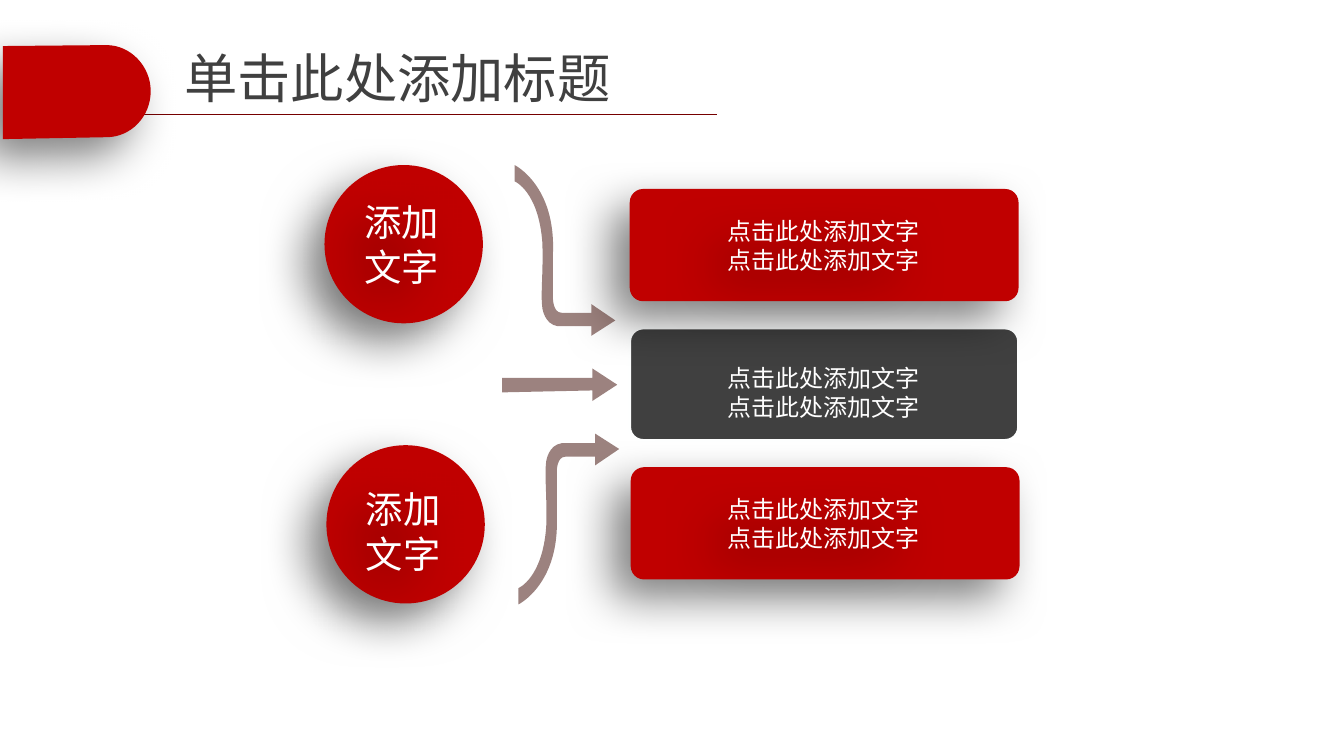
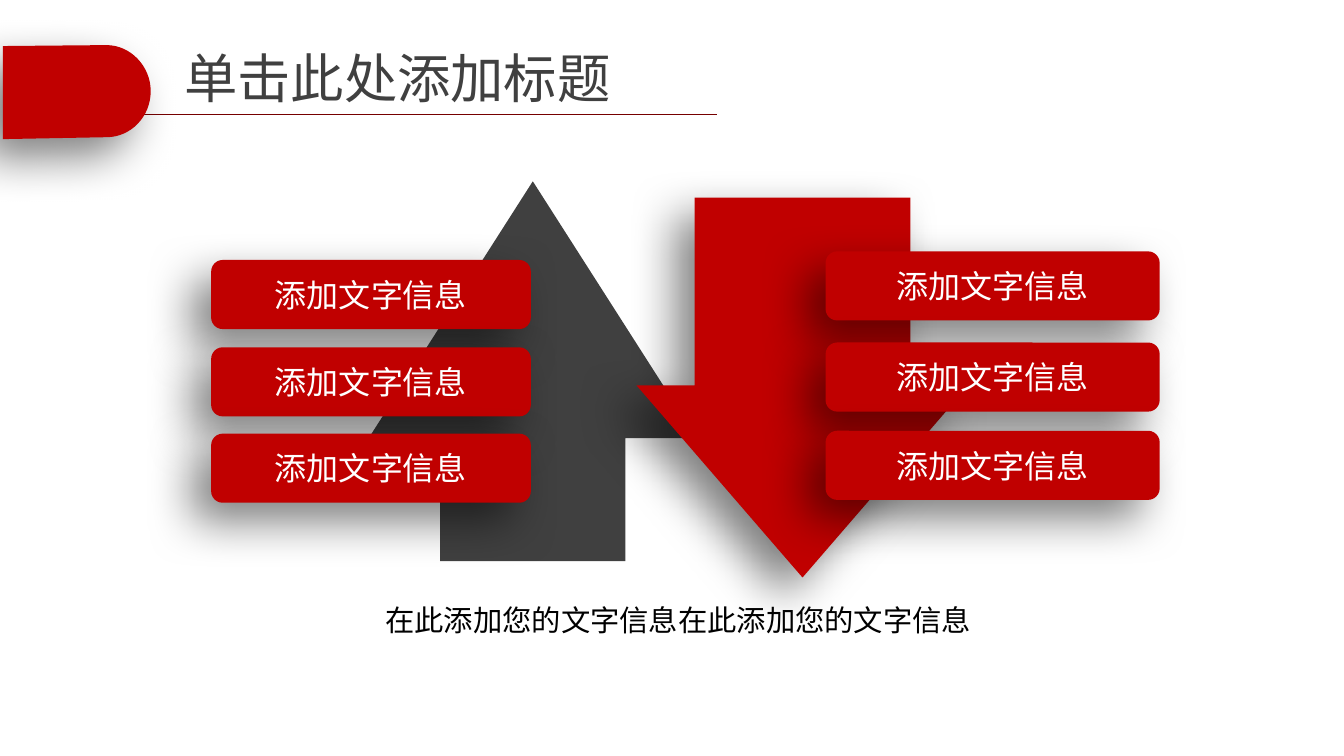
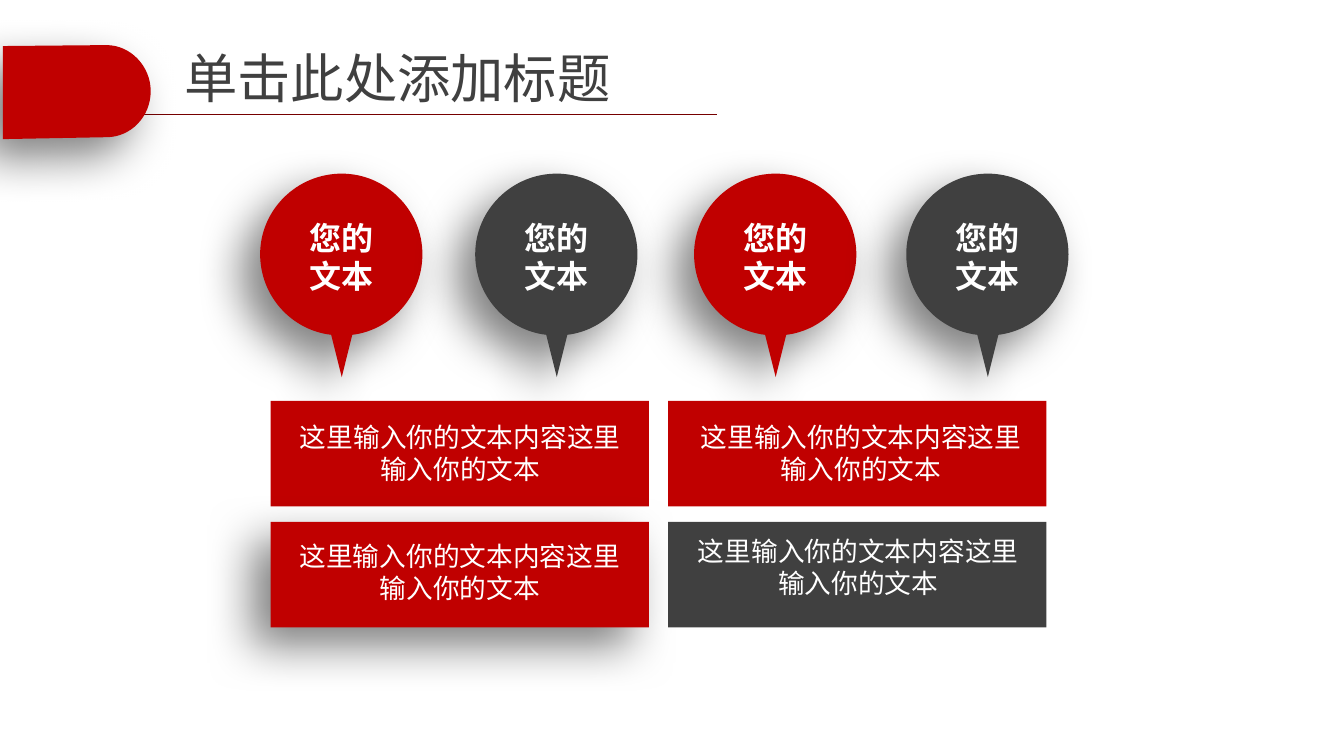
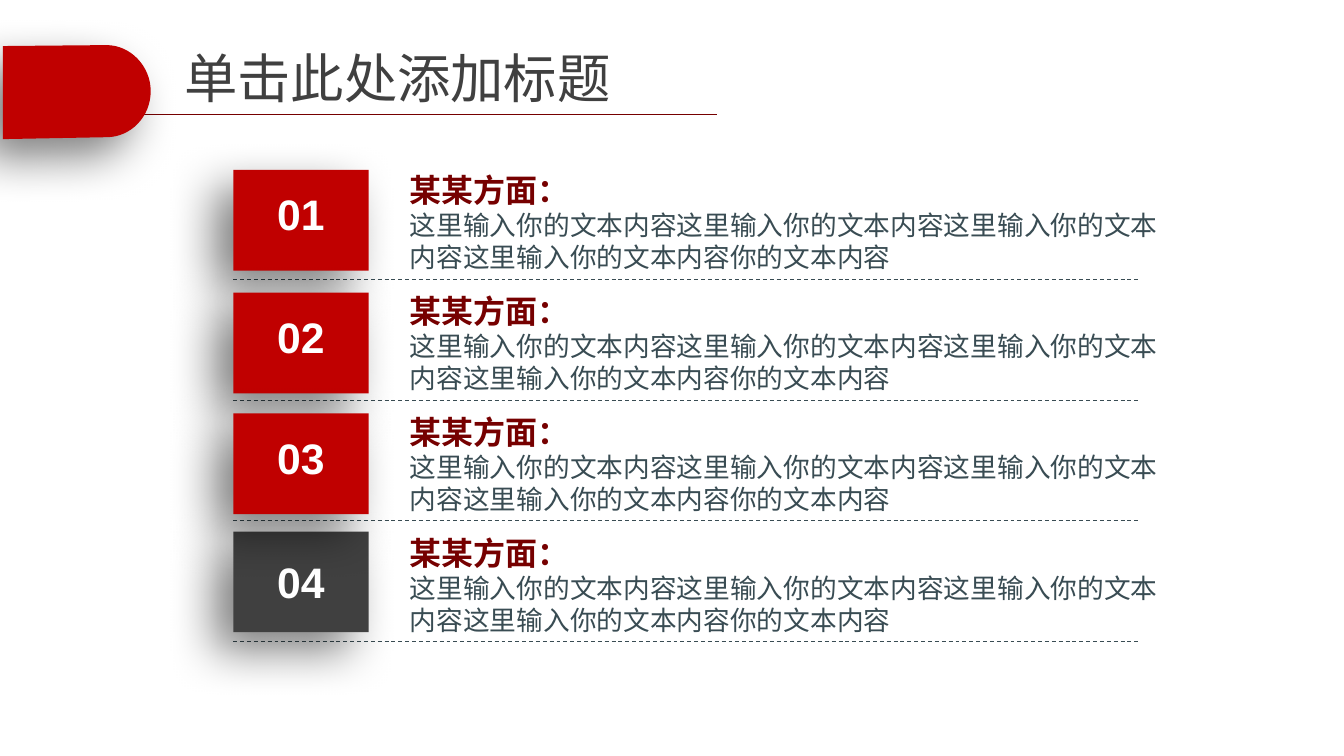
"""Build four red and grey diagram slides that share one title band."""
from dataclasses import dataclass

from lxml.etree import SubElement
from pptx import Presentation
from pptx.dml.color import RGBColor as RGB
from pptx.enum.dml import MSO_LINE as DASH
from pptx.enum.shapes import MSO_CONNECTOR as CXN, MSO_SHAPE as SHAPE
from pptx.enum.text import MSO_ANCHOR as ANCHOR, MSO_AUTO_SIZE as FIT, PP_ALIGN as ALIGN
from pptx.oxml.ns import qn
from pptx.util import Inches, Pt


@dataclass(frozen=True)
class Theme:
    red: str = "C00000"
    dark_red: str = "760000"
    brown: str = "3A0700"
    grey: str = "404040"
    slate: str = "394C53"
    white: str = "FFFFFF"
    black: str = "000000"
    latin: str = "Arial"
    cjk: str = "Noto Sans CJK SC"
    title: int = 40
    number: int = 32
    circle: int = 28
    heading: int = 24
    caption: int = 22
    body: int = 20
    card: int = 18


T = Theme()


def draw(shapes, outline, at, fill=None, shadow=False, adj=(), alpha=None):
    """Add a preset shape, a text box (None), or an outline of points and Bezier curves."""
    if outline is None:
        sp = shapes.add_textbox(*map(Inches, at))
    elif isinstance(outline, list):
        x, y = at
        builder = shapes.build_freeform(Inches(x), Inches(y))
        builder.add_line_segments(
            [(Inches(x + step[i]), Inches(y + step[i + 1]))
             for step in outline for i in range(0, len(step), 2)], close=True)
        sp = builder.convert_to_shape()
        lines = iter(list(sp.element.spPr.iter(qn("a:lnTo"))))
        for step in outline:
            line = next(lines)
            if len(step) == 6:
                curve = line.makeelement(qn("a:cubicBezTo"))
                line.addprevious(curve)
                for control in (line, next(lines), next(lines)):
                    curve.append(control[0])
                    control.getparent().remove(control)
    else:
        sp = shapes.add_shape(outline, *map(Inches, at))
        for i, value in enumerate(adj):
            sp.adjustments[i] = value
    sp.line.fill.background()
    sp.shadow.inherit = False
    if fill:
        sp.fill.solid()
        sp.fill.fore_color.rgb = RGB.from_string(fill)
    else:
        sp.fill.background()
    if alpha:
        color = sp.element.spPr.find(qn("a:solidFill"))[0]
        SubElement(color, qn("a:alpha"), val=str(alpha * 1000))
    if shadow:
        effects = sp.element.spPr.find(qn("a:effectLst"))
        outer = SubElement(effects, qn("a:outerShdw"), blurRad=str(Pt(35)), dist=str(Pt(20)),
                           dir=str(135 * 60000), algn="tr", rotWithShape="0")
        color = SubElement(outer, qn("a:srgbClr"), val=T.black)
        SubElement(color, qn("a:alpha"), val="50000")
    return sp


def write(sp, text, size, color=T.white, font=T.cjk, bold=False, align=ALIGN.CENTER,
          anchor=ANCHOR.MIDDLE, insets=(0.1, 0.05, 0.1, 0.05), append=False):
    """Write one paragraph per line of text, replacing or following what the shape holds."""
    tf = sp.text_frame
    tf.word_wrap, tf.auto_size, tf.vertical_anchor = True, FIT.NONE, anchor
    tf.margin_left, tf.margin_top, tf.margin_right, tf.margin_bottom = map(Inches, insets)
    for i, line in enumerate(text.split("\n")):
        p = tf.add_paragraph() if append or i else tf.paragraphs[0]
        p.alignment = align
        r = p.add_run()
        r.text = line
        r.font.size, r.font.bold, r.font.name = Pt(size), bold, font
        r.font.color.rgb = RGB.from_string(color)
        latin = r.font._element.find(qn("a:latin"))
        latin.addnext(latin.makeelement(qn("a:ea"), typeface=T.cjk))


prs = Presentation()
prs.slide_width, prs.slide_height = Inches(14), Inches(7.88)
layout = prs.slide_layouts[5]
title, *footers = layout.placeholders
title.left, title.top, title.width, title.height = map(Inches, (1.8, 0.31, 9.47, 0.99))
for footer in footers:
    layout.shapes.element.remove(footer.element)

slides = [prs.slides.add_slide(layout) for _ in range(4)]
for s in slides:
    write(s.shapes.title, "单击此处添加标题", T.title, T.grey, T.latin, align=ALIGN.LEFT,
          insets=(0.12, 0.06, 0.12, 0.06))
arrows, compare, pins, agenda = [s.shapes for s in slides]

rule = arrows.add_connector(CXN.STRAIGHT, *map(Inches, (0.92, 1.19, 7.47, 1.19)))
rule.line.color.rgb, rule.line.width = RGB.from_string(T.dark_red), Pt(0.75)
SubElement(rule.element.spPr, qn("a:effectLst"))
tab_outline = [(1.08, -0.01), (1.33, -0.01, 1.54, 0.21, 1.54, 0.47),
               (1.54, 0.74, 1.33, 0.95, 1.08, 0.95), (0, 0.97)]
tab = draw(arrows, tab_outline, (0.03, 0.48), T.red, shadow=True)
for band_part in (rule, tab):
    layout.shapes.element.append(band_part.element)

for x, y, text_y, text_h, fill in [(6.56, 3.42, 3.57, 1.04, T.grey),
                                   (6.56, 1.97, 2.1, 0.91, T.red),
                                   (6.57, 4.87, 5, 0.91, T.red)]:
    lifted = fill == T.red
    group = arrows.add_group_shape().shapes
    card = draw(group, SHAPE.ROUNDED_RECTANGLE, (x, y, 4.05, 1.17), fill, lifted, adj=[0.119])
    if not lifted:
        card.line.color.rgb, card.line.width = RGB.from_string("FEFFFF"), Pt(2)
    label = draw(group, None, (6.7, text_y, 3.75, text_h), shadow=lifted)
    write(label, "点击此处添加文字\n点击此处添加文字", T.card)

for x, y, text_y in [(3.38, 1.72, 2.13), (3.4, 4.64, 5.12)]:
    group = arrows.add_group_shape().shapes
    draw(group, SHAPE.OVAL, (x, y, 1.65, 1.65), T.red, shadow=True)
    label = draw(group, None, (x - 0.24, text_y, 2.08, 0.83), shadow=True)
    write(label, "添加\n文字", T.circle)

bent_arrow = [(0, 0, 0.43, 0.21, 0.4, 0.92), (0.4, 1.16, 0.4, 1.39, 0.4, 1.39),
              (0.4, 1.39, 0.4, 1.54, 0.49, 1.54), (0.64, 1.54, 0.8, 1.54, 0.8, 1.54),
              (0.8, 1.45), (1.05, 1.62), (0.8, 1.78), (0.8, 1.68),
              (0.8, 1.68, 0.62, 1.68, 0.45, 1.68), (0.31, 1.66, 0.29, 1.49, 0.29, 1.49),
              (0.27, 1.34, 0.3, 1.14, 0.29, 0.81), (0.25, 0.27, 0, 0.17, 0, 0.17)]
rising_arrow = [tuple(-c if i % 2 else c for i, c in enumerate(step)) for step in bent_arrow]
straight_arrow = [(0.94, -0.02), (0.94, 0.09), (1.2, -0.08), (0.94, -0.25),
                  (0.94, -0.15), (0, -0.15)]
for outline, start in [(rising_arrow, (5.4, 6.3)), (straight_arrow, (5.23, 4.09)),
                       (bent_arrow, (5.36, 1.72))]:
    draw(arrows, outline, start, T.brown, alpha=50)

draw(compare, SHAPE.UP_ARROW, (3.84, 1.89, 3.42, 3.96), T.grey, adj=[0.564, 0.783])
draw(compare, SHAPE.DOWN_ARROW, (6.63, 2.06, 3.46, 3.96), T.red, shadow=True,
     adj=[0.65, 0.579])
for x, width, tops in [(2.2, 3.33, (2.71, 3.62, 4.52)), (8.6, 3.48, (2.62, 3.57, 4.49))]:
    for y in tops:
        button = draw(compare, SHAPE.ROUNDED_RECTANGLE, (x, y, width, 0.72), T.red, shadow=True)
        write(button, "添加文字信息", T.heading)
caption = draw(compare, SHAPE.ROUNDED_RECTANGLE, (3.39, 6.19, 7.35, 0.54))
write(caption, "在此添加您的文字信息在此添加您的文字信息", T.caption, T.black,
      insets=(0.11, 0.06, 0.11, 0.06))

pin_outline = [(0.46, 0, 0.84, 0.38, 0.84, 0.84), (0.84, 1.27, 0.52, 1.63, 0.11, 1.68),
               (0, 2.12), (-0.11, 1.68), (-0.53, 1.63, -0.85, 1.27, -0.85, 0.84),
               (-0.85, 0.38, -0.47, 0, 0, 0)]
for i, center in enumerate((3.56, 5.8, 8.08, 10.29)):
    pin = draw(pins, pin_outline, (center, 1.81), (T.red, T.grey)[i % 2], shadow=True)
    write(pin, "您的\n文本", T.heading, bold=True, insets=(0.1, 0.05, 0.1, 0.44))

for i, text_box in enumerate([(3.01, 4.32, 3.57, 0.8), (7.14, 4.32, 3.66, 0.8),
                              (3, 5.57, 3.58, 0.78), (7.08, 5.52, 3.72, 0.77)]):
    row, col = divmod(i, 2)
    group = pins.add_group_shape().shapes
    draw(group, SHAPE.RECTANGLE, (2.82 + 4.14 * col, 4.18 + 1.26 * row, 3.94, 1.1),
         T.grey if i == 3 else T.red, shadow=i == 2)
    write(draw(group, None, text_box), "这里输入你的文本内容这里输入你的文本", T.body)

for row in range(4):
    y = 1.73 + 1.26 * row
    entry = draw(agenda, None, (4.17, y, 8.11, 1.18))
    write(entry, "某某方面：", T.heading, T.dark_red, bold=True, align=ALIGN.LEFT,
          anchor=ANCHOR.TOP)
    write(entry, "这里输入你的文本内容" * 4 + "你的文本内容", T.body, T.slate,
          align=ALIGN.LEFT, anchor=ANCHOR.TOP, append=True)
    divider = agenda.add_connector(CXN.STRAIGHT, *map(Inches, (2.43, y + 1.18, 11.88, y + 1.18)))
    divider.line.color.rgb, divider.line.width = RGB.from_string(T.slate), Pt(0.75)
    divider.line.dash_style = DASH.DASH
    SubElement(divider.element.spPr, qn("a:effectLst"))

last = draw(agenda, SHAPE.RECTANGLE, (2.43, 5.54, 1.41, 1.05), T.grey, shadow=True)
write(last, "04", T.number, font=T.latin, bold=True)
for number, y in enumerate((1.77, 3.05, 4.31), 1):
    group = agenda.add_group_shape().shapes
    draw(group, SHAPE.RECTANGLE, (2.43, y, 1.41, 1.05), T.red, shadow=True)
    label = draw(group, None, (2.58, y + 0.08, 1.11, 0.75))
    write(label, f"{number:02d}", T.number, font=T.latin, bold=True)

prs.save("out.pptx")
